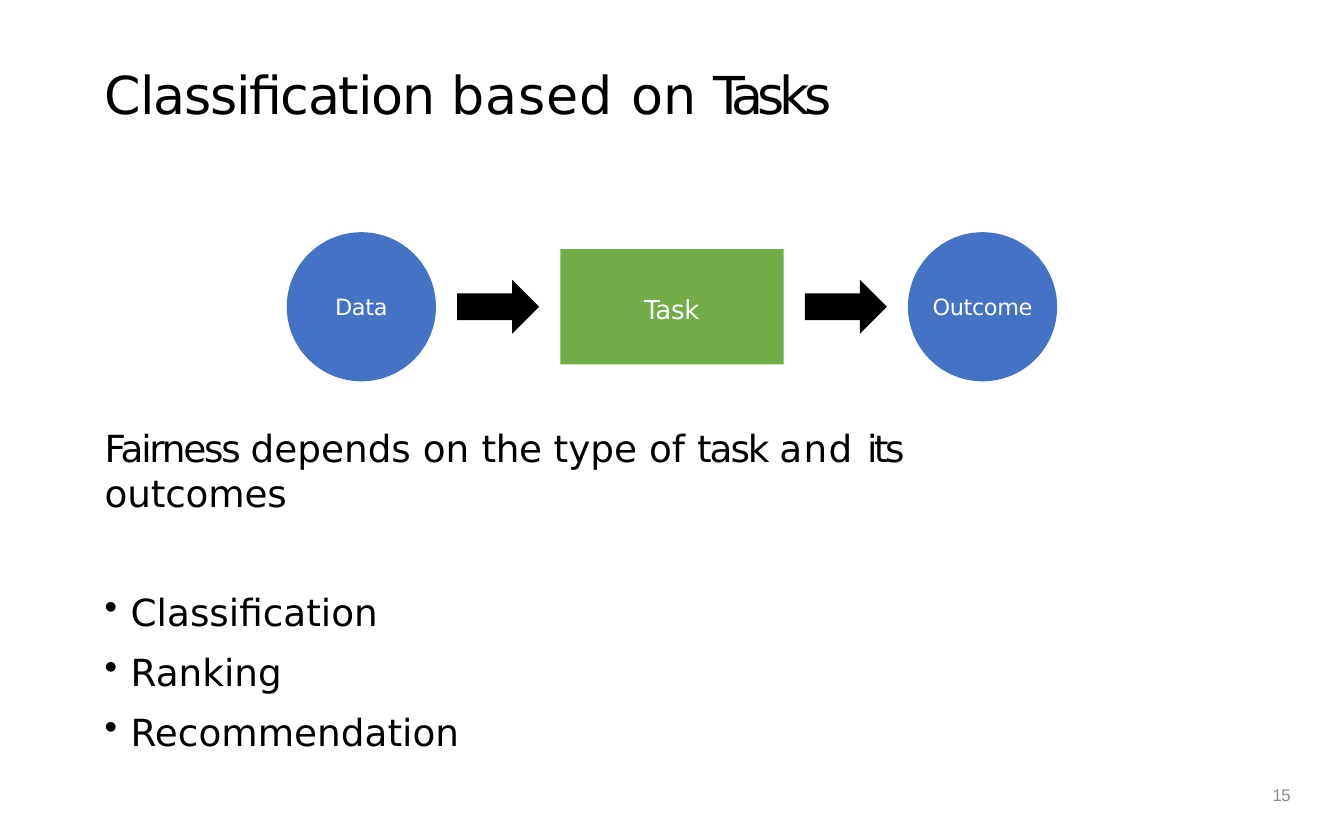
from lxml import etree
from pptx import Presentation
from pptx.dml.color import RGBColor
from pptx.enum.shapes import MSO_SHAPE
from pptx.enum.text import MSO_ANCHOR, PP_ALIGN
from pptx.oxml.ns import qn
from pptx.util import Cm, Pt

OVAL = MSO_SHAPE.OVAL
RECTANGLE = MSO_SHAPE.RECTANGLE
RIGHT_ARROW = MSO_SHAPE.RIGHT_ARROW
MIDDLE = MSO_ANCHOR.MIDDLE
CENTER = PP_ALIGN.CENTER

COLORS = {
    "text": "000000",
    "light": "FFFFFF",
    "circle": "4472C4",
    "task": "70AD47",
    "arrow": "000000",
    "number": "898989",
}
FONT = "DejaVu Sans"
NUMBER_FONT = "Arial"


class SlideBuilder:
    def __init__(self, slide):
        self.slide = slide

    def color(self, name):
        return RGBColor.from_string(COLORS[name])

    def set_insets(self, frame, top=0):
        frame.margin_left = frame.margin_right = frame.margin_bottom = 0
        frame.margin_top = Cm(top)

    def runs(self, paragraph, pieces, size, color="text", font=FONT):
        for text, spacing in pieces:
            run = paragraph.add_run()
            run.text = text
            run.font.name = font
            run.font.size = Pt(size)
            run.font.color.rgb = self.color(color)
            run.font._element.set("spc", str(round(spacing * 100)))

    def text_box(self, left, top, width, height, inset=0.06):
        box = self.slide.shapes.add_textbox(Cm(left), Cm(top), Cm(width), Cm(height))
        frame = box.text_frame
        frame.word_wrap = True
        self.set_insets(frame, inset)
        return frame

    def bullet(self, frame, text, size, space_before):
        paragraph = frame.add_paragraph()
        paragraph.space_before = Pt(space_before)
        properties = paragraph._p.get_or_add_pPr()
        properties.set("marL", str(Cm(0.49)))
        properties.set("indent", str(-Cm(0.49)))
        etree.SubElement(properties, qn("a:buChar")).set("char", "•")
        self.runs(paragraph, [(text, 0)], size)

    def shape(self, kind, left, middle, width, height, fill, label="", size=12, inset=0):
        shape = self.slide.shapes.add_shape(
            kind, Cm(left), Cm(middle - height / 2), Cm(width), Cm(height)
        )
        shape.shadow.inherit = False
        shape.fill.solid()
        shape.fill.fore_color.rgb = self.color(fill)
        shape.line.fill.background()
        if label:
            frame = shape.text_frame
            frame.word_wrap = False
            frame.vertical_anchor = MIDDLE
            self.set_insets(frame, inset)
            paragraph = frame.paragraphs[0]
            paragraph.alignment = CENTER
            self.runs(paragraph, [(label, -0.2)], size, "light")


def main():
    presentation = Presentation()
    presentation.slide_width = Cm(25.4)
    presentation.slide_height = Cm(15.88)
    builder = SlideBuilder(presentation.slides.add_slide(presentation.slide_layouts[6]))

    title = builder.text_box(1.98, 1.12, 18.3, 1.24)
    title_pieces = [("Classification ", -0.6), ("based ", 0.6), ("on ", 0), ("Tasks", -2.9)]
    builder.runs(title.paragraphs[0], title_pieces, 28)

    circle = (OVAL, 2.82, 2.82, "circle")
    arrow = (RIGHT_ARROW, 1.55, 1.02, "arrow")
    task = (RECTANGLE, 4.22, 2.18, "task")
    flow = [
        (circle, "Data", 12, 0),
        (arrow, "", 12, 0),
        (task, "Task", 14, 0.1),
        (arrow, "", 12, 0),
        (circle, "Outcome", 12, 0),
    ]
    left, middle, gap = 5.42, 5.8, 0.4
    for (kind, width, height, fill), label, size, inset in flow:
        builder.shape(kind, left, middle, width, height, fill, label, size, inset)
        left += width + gap

    body = builder.text_box(1.98, 7.98, 18.6, 5.44)
    body_pieces = [
        ("Fairness ", -1.2),
        ("depends on ", 0),
        ("the ", -0.2),
        ("type of ", 0),
        ("task ", -1.1),
        ("and ", 0.7),
        ("its ", -1.9),
        ("outcomes", -0.1),
    ]
    builder.runs(body.paragraphs[0], body_pieces, 20)
    for text, space_before in [("Classification", 40), ("Ranking", 8), ("Recommendation", 8)]:
        builder.bullet(body, text, 20, space_before)

    number = builder.text_box(24.05, 14.88, 0.94, 0.43, 0)
    number.paragraphs[0].line_spacing = Pt(9.8)
    builder.runs(number.paragraphs[0], [("15", -0.2)], 9, "number", NUMBER_FONT)

    presentation.save("out.pptx")


if __name__ == "__main__":
    main()
